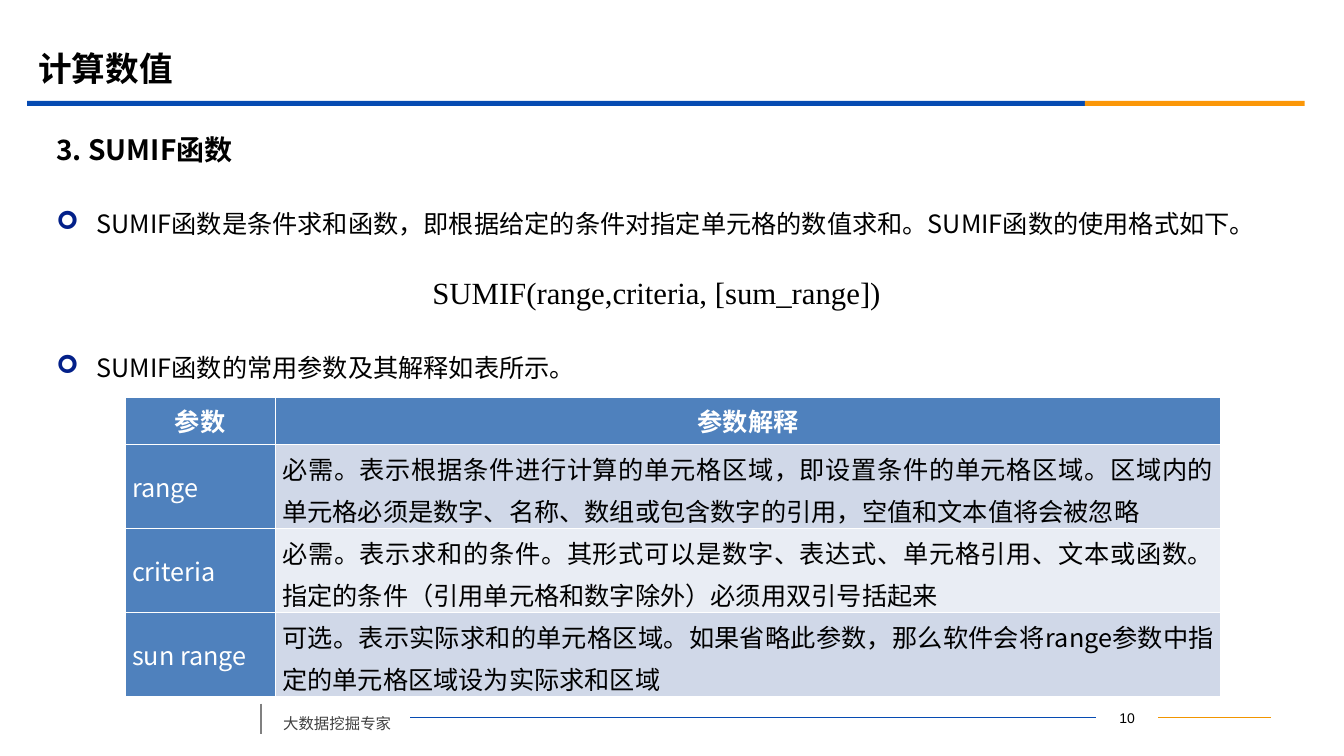
from typing import NamedTuple

from lxml.etree import SubElement
from pptx import Presentation
from pptx.dml.color import RGBColor
from pptx.enum.shapes import MSO_CONNECTOR, MSO_SHAPE
from pptx.enum.text import MSO_ANCHOR, MSO_AUTO_SIZE, PP_ALIGN
from pptx.oxml.ns import qn
from pptx.util import Inches, Pt

SANS = "Noto Sans CJK SC"
SERIF = "Times New Roman"
BLACK, WHITE = "000000", "FFFFFF"
BLUE, ORANGE, HEADER = "064BB2", "FB9708", "4F81BD"
BANDS = ("D0D8E8", "E9EDF4")


class Rule(NamedTuple):
    left: float
    top: float
    right: float
    bottom: float
    color: str
    weight: float


class Bar(NamedTuple):
    left: float
    width: float
    color: str


class Parameter(NamedTuple):
    name: str
    meaning: str


RULES = [
    Rule(11.49, 7.12, 12.61, 7.12, "F19500", 0.75),
    Rule(4.07, 7.12, 10.87, 7.12, BLUE, 0.75),
    Rule(2.59, 6.98, 2.59, 7.28, "808080", 1.25),
]
BARS = [Bar(0.27, 10.49, BLUE), Bar(10.76, 2.18, ORANGE)]
POINTS = [
    "SUMIF函数是条件求和函数，即根据给定的条件对指定单元格的数值求和。SUMIF函数的使用格式如下。",
    "SUMIF函数的常用参数及其解释如表所示。",
]
PARAMETERS = [
    Parameter("range", "必需。表示根据条件进行计算的单元格区域，即设置条件的单元格区域。"
              "区域内的单元格必须是数字、名称、数组或包含数字的引用，空值和文本值将会被忽略"),
    Parameter("criteria", "必需。表示求和的条件。其形式可以是数字、表达式、单元格引用、文本或函数。"
              "指定的条件（引用单元格和数字除外）必须用双引号括起来"),
    Parameter("sun range", "可选。表示实际求和的单元格区域。如果省略此参数，"
              "那么软件会将range参数中指定的单元格区域设为实际求和区域"),
]


def rgb(color: str) -> RGBColor:
    return RGBColor.from_string(color)


def write(para, text: str, *, size: float = 18, font: str = SANS, color: str = BLACK,
          bold: bool = False, align=PP_ALIGN.LEFT, spacing=None, before: float = 0) -> None:
    para.alignment = align
    para.space_before = Pt(before)
    if spacing is not None:
        para.line_spacing = spacing
    span = para.add_run()
    span.text = text
    span.font.size = Pt(size)
    span.font.bold = bold
    span.font.color.rgb = rgb(color)
    span.font.name = font
    SubElement(span.font._element, qn("a:ea"), typeface=SANS)


def set_bullet(para, indent: float, char: str = "", color: str = BLACK) -> None:
    properties = para._p.get_or_add_pPr()
    properties.set("marL", str(Inches(indent)))
    properties.set("indent", str(-Inches(indent)))
    if not char:
        SubElement(properties, qn("a:buNone"))
        return
    SubElement(SubElement(properties, qn("a:buClr")), qn("a:srgbClr"), val=color)
    SubElement(properties, qn("a:buFont"), typeface="Wingdings")
    SubElement(properties, qn("a:buChar"), char=char)


def place(box, left: float, top: float, width: float, height: float, anchor=MSO_ANCHOR.TOP):
    box.left, box.top = Inches(left), Inches(top)
    box.width, box.height = Inches(width), Inches(height)
    frame = box.text_frame
    frame.word_wrap = True
    frame.auto_size = MSO_AUTO_SIZE.NONE
    frame.vertical_anchor = anchor
    return frame


def add_text(page, left: float, top: float, width: float, height: float, text: str, **style) -> None:
    frame = place(page.shapes.add_textbox(0, 0, 0, 0), left, top, width, height)
    write(frame.paragraphs[0], text, **style)


def add_rule(page, rule: Rule) -> None:
    line = page.shapes.add_connector(
        MSO_CONNECTOR.STRAIGHT, Inches(rule.left), Inches(rule.top),
        Inches(rule.right), Inches(rule.bottom))
    line.line.color.rgb = rgb(rule.color)
    line.line.width = Pt(rule.weight)
    SubElement(line._element.spPr, qn("a:effectLst"))


def add_bar(page, bar: Bar) -> None:
    shape = page.shapes.add_shape(
        MSO_SHAPE.RECTANGLE, Inches(bar.left), Inches(1), Inches(bar.width), Inches(0.05))
    shape.shadow.inherit = False
    shape.fill.solid()
    shape.fill.fore_color.rgb = rgb(bar.color)
    shape.line.fill.background()


def fill_cell(cell, text: str, fill: str, **style) -> None:
    cell.fill.solid()
    cell.fill.fore_color.rgb = rgb(fill)
    cell.vertical_anchor = MSO_ANCHOR.MIDDLE
    cell.margin_left = cell.margin_right = Inches(0.07)
    cell.margin_top = cell.margin_bottom = 0
    write(cell.text_frame.paragraphs[0], text, **style)


def add_parameter_table(page) -> None:
    table = page.shapes.add_table(
        len(PARAMETERS) + 1, 2, Inches(1.24), Inches(3.94), Inches(10.87), Inches(2.97)).table
    table.horz_banding = False
    table.columns[0].width, table.columns[1].width = Inches(1.49), Inches(9.38)
    table.rows[0].height = Inches(0.47)
    for column, heading in enumerate(("参数", "参数解释")):
        fill_cell(table.cell(0, column), heading, HEADER,
                  color=WHITE, bold=True, align=PP_ALIGN.CENTER)
    for row, parameter in enumerate(PARAMETERS, start=1):
        table.rows[row].height = Inches(0.83)
        fill_cell(table.cell(row, 0), parameter.name, HEADER, color=WHITE, align=PP_ALIGN.JUSTIFY)
        fill_cell(table.cell(row, 1), parameter.meaning, BANDS[(row - 1) % 2],
                  align=PP_ALIGN.JUSTIFY, spacing=Pt(30))


def main() -> None:
    deck = Presentation()
    deck.slide_width, deck.slide_height = Inches(13.33), Inches(7.5)
    page = deck.slides.add_slide(deck.slide_layouts[3])
    title, body, heading = page.placeholders

    for rule in RULES:
        add_rule(page, rule)
    for bar in BARS:
        add_bar(page, bar)
    add_text(page, 10.87, 6.99, 0.62, 0.25, "10", size=10, font="Arial", align=PP_ALIGN.CENTER)
    add_text(page, 2.71, 6.94, 1.36, 0.38, "大数据挖掘专家", size=11, color="404040", spacing=1.5)

    frame = place(title, 0.28, 0.39, 12, 0.58, MSO_ANCHOR.MIDDLE)
    write(frame.paragraphs[0], "计算数值", size=24, font=SERIF, bold=True)

    frame = place(heading, 0.46, 1.25, 12.15, 0.47, MSO_ANCHOR.MIDDLE)
    write(frame.paragraphs[0], "3. SUMIF函数", size=20, bold=True)
    set_bullet(frame.paragraphs[0], 0)

    frame = place(body, 0.46, 1.87, 12.39, 4.75)
    for index, point in enumerate(POINTS):
        para = frame.add_paragraph() if index else frame.paragraphs[0]
        write(para, point, spacing=1.5, before=70 * index)
        set_bullet(para, 0.4, "➢", "032089")

    add_text(page, 4.19, 2.67, 5.34, 0.47, "SUMIF(range,criteria, [sum_range])", size=22, font=SERIF)
    add_parameter_table(page)
    deck.save("out.pptx")


if __name__ == "__main__":
    main()
